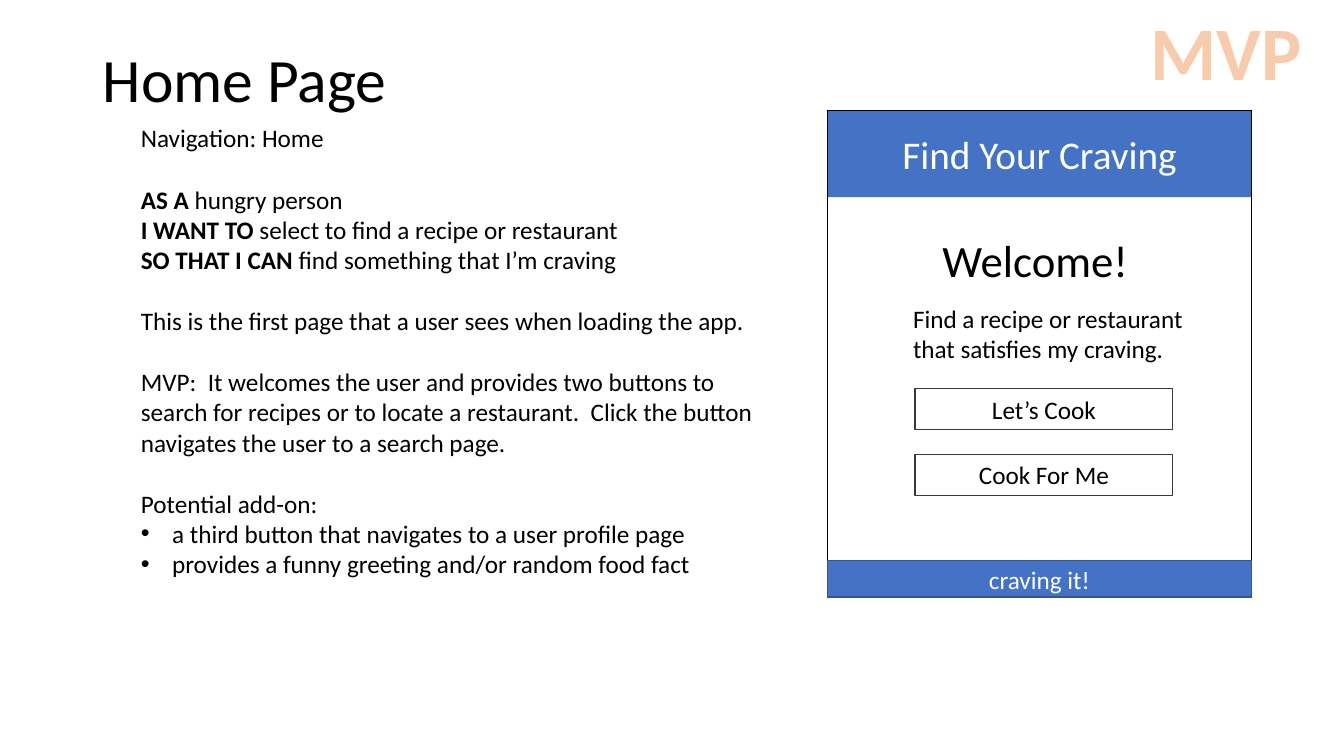
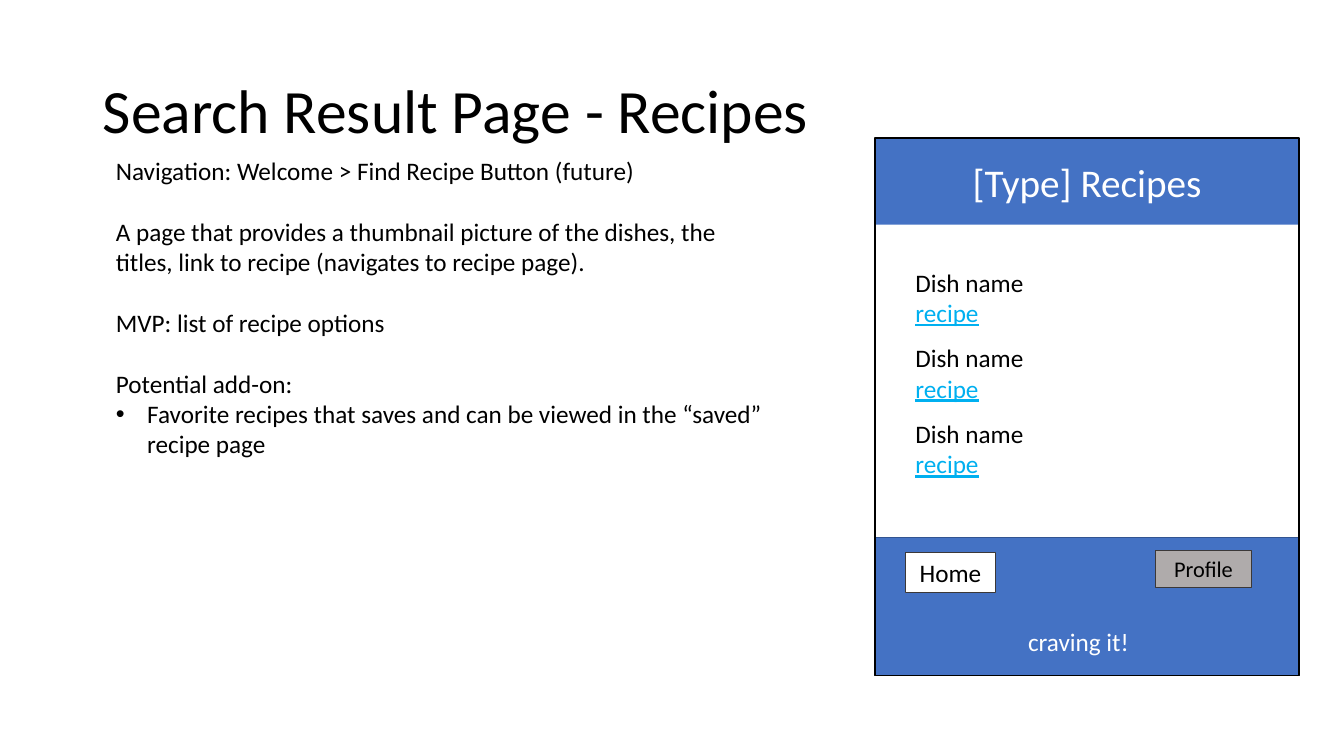
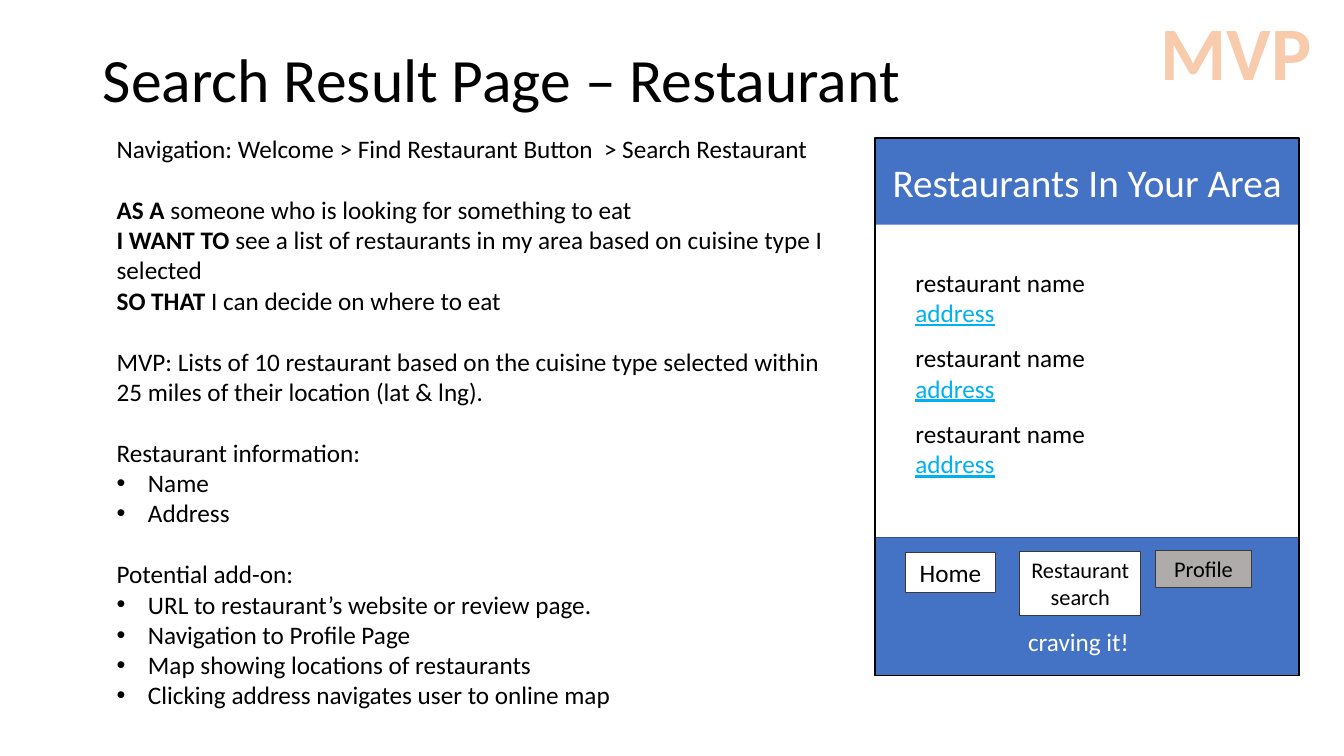
"""Build three app wireframe slides: home page, recipe results, restaurant results."""
from lxml import etree
from pptx import Presentation
from pptx.dml.color import RGBColor
from pptx.enum.shapes import MSO_SHAPE
from pptx.enum.text import MSO_ANCHOR, PP_ALIGN
from pptx.oxml.ns import qn
from pptx.util import Cm, Pt

RECT = MSO_SHAPE.RECTANGLE
TOP, MIDDLE = MSO_ANCHOR.TOP, MSO_ANCHOR.MIDDLE
LEFT, CENTER = PP_ALIGN.LEFT, PP_ALIGN.CENTER
FONT = "Calibri"
COLORS = {
    "text": "000000", "white": "FFFFFF", "blue": "4472C4", "navy": "325491",
    "border": "3B3838", "gray": "AFABAB", "link": "00B0F0",
    "peach": "F8CBAD", "orange": "ED7D31",
}
BULLET = "•"
BODY_SIZE, BODY_LINE = 18, 22
PHONE_W, HEADER_H = 10.69, 2.18
RESULT_X, RESULT_Y, RESULT_H, RESULT_FOOTER_H = 22.05, 3.48, 13.54, 3.48


def rgb(name):
    return RGBColor.from_string(COLORS[name])


def style_runs(p, size, color):
    for r in p.runs:
        r.font.name = FONT
        r.font.size = Pt(size)
        r.font.color.rgb = rgb(color)


def write(sp, lines, size=BODY_SIZE, color="text", align=LEFT, anchor=TOP):
    tf = sp.text_frame
    tf.word_wrap = True
    tf.vertical_anchor = anchor
    tf.text = "\n".join(lines)
    for p in tf.paragraphs:
        p.alignment = align
        style_runs(p, size, color)
    return tf.paragraphs


def add_text(s, x, y, w, h, lines, **style):
    sp = s.shapes.add_textbox(Cm(x), Cm(y), Cm(w), Cm(h))
    return write(sp, lines, **style)


def add_rect(s, x, y, w, h, fill=None, line=None, weight=1):
    sp = s.shapes.add_shape(RECT, Cm(x), Cm(y), Cm(w), Cm(h))
    sp.shadow.inherit = False
    if fill:
        sp.fill.solid()
        sp.fill.fore_color.rgb = rgb(fill)
    else:
        sp.fill.background()
    if line:
        sp.line.color.rgb = rgb(line)
        sp.line.width = Pt(weight)
    else:
        sp.line.fill.background()
    return sp


def add_button(s, x, y, w, h, lines, size=BODY_SIZE, fill="white"):
    sp = add_rect(s, x, y, w, h, fill, "border", 0.75)
    write(sp, lines, size, align=CENTER)


def add_title(s, text, y):
    p = add_text(s, 2.34, y, 29.21, 3.68, [text], size=44, anchor=MIDDLE)[0]
    p.line_spacing = 0.9


def add_mvp_badge(s, x):
    p = add_text(s, x, 0, 4.34, 2.57, ["MVP"], size=54, color="peach", align=CENTER)[0]
    r = p.runs[0]
    r.font.bold = True
    ln = etree.Element(qn("a:ln"), w=str(Pt(1.75)))
    fill = etree.SubElement(ln, qn("a:solidFill"))
    etree.SubElement(fill, qn("a:srgbClr"), val=COLORS["orange"])
    r.font._element.insert(0, ln)


def set_bullet(p):
    pPr = p._p.get_or_add_pPr()
    pPr.set("marL", str(Cm(0.79)))
    pPr.set("indent", str(-Cm(0.79)))
    etree.SubElement(pPr, qn("a:buFont"), typeface="Arial")
    etree.SubElement(pPr, qn("a:buChar"), char=BULLET)


def add_notes(s, x, y, w, h, groups):
    """Write groups of lines; a pair is a bold lead or a bullet, then its text."""
    tf = s.shapes.add_textbox(Cm(x), Cm(y), Cm(w), Cm(h)).text_frame
    tf.word_wrap = True
    p = tf.paragraphs[0]
    for g, group in enumerate(groups):
        for i, line in enumerate(group):
            if g or i:
                p = tf.add_paragraph()
            if g and i == 0:
                p.space_before = Pt(BODY_LINE)
            lead, text = line if isinstance(line, tuple) else ("", line)
            if lead == BULLET:
                set_bullet(p)
            elif lead:
                r = p.add_run()
                r.text = lead
                r.font.bold = True
            p.add_run().text = text
            style_runs(p, BODY_SIZE, "text")


def add_phone(s, x, y, h, heading):
    add_rect(s, x, y, PHONE_W, HEADER_H, "blue")
    add_rect(s, x, y, PHONE_W, h, line="text")
    add_text(s, x, y + 0.38, PHONE_W, 1.45, [heading], size=28, color="white", align=CENTER)


def add_results_phone(s, heading, item, link):
    add_rect(s, RESULT_X, RESULT_Y + RESULT_H - RESULT_FOOTER_H, PHONE_W,
             RESULT_FOOTER_H, "blue", "navy")
    add_phone(s, RESULT_X, RESULT_Y, RESULT_H, heading)
    for i in range(3):
        p = add_text(s, 22.82, 6.6 + 1.91 * i, 7.8, 1.8, [item, link])[1]
        p.runs[0].font.color.rgb = rgb("link")
        p.runs[0].font.underline = True
    add_button(s, 22.81, 13.92, 2.29, 1.02, ["Home"])
    add_button(s, 29.11, 13.87, 2.44, 0.94, ["Profile"], 16, "gray")
    add_text(s, 24.49, 15.67, 5.38, 1.02, ["craving it!"], color="white", align=CENTER)


def home_slide(s):
    add_title(s, "Home Page", 0.23)
    add_mvp_badge(s, 28.73)
    add_notes(s, 3.3, 2.97, 16.56, 13.34, [
        ["Navigation: Home"],
        [("AS A ", "hungry person"),
         ("I WANT TO ", "select to find a recipe or restaurant"),
         ("SO THAT I CAN ", "find something that I’m craving")],
        ["This is the first page that a user sees when loading the app."],
        ["MVP:  It welcomes the user and provides two buttons to search for recipes "
         "or to locate a restaurant.  Click the button navigates the user to a search page."],
        ["Potential add-on:",
         (BULLET, "a third button that navigates to a user profile page"),
         (BULLET, "provides a funny greeting and/or random food fact")],
    ])
    x, y, h, footer_h = 20.85, 2.79, 12.26, 0.92
    add_phone(s, x, y, h, "Find Your Craving")
    add_text(s, 23.5, 5.74, 5.54, 1.63, ["Welcome!"], size=32)
    add_text(s, 22.76, 7.52, 7.8, 1.8, ["Find a recipe or restaurant that satisfies my craving."])
    for i, label in enumerate(["Let’s Cook", "Cook For Me"]):
        add_button(s, 23.06, 9.8 + 1.66 * i, 6.5, 1.02, [label])
    footer = add_rect(s, x, y + h - footer_h, PHONE_W, footer_h, "blue", "navy")
    write(footer, ["craving it!"], color="white", align=CENTER, anchor=MIDDLE)


def recipes_slide(s):
    add_title(s, "Search Result Page - Recipes", 1.02)
    add_notes(s, 2.67, 3.78, 17.12, 11.02, [
        ["Navigation: Welcome > Find Recipe Button (future)"],
        ["A page that provides a thumbnail picture of the dishes, the titles, "
         "link to recipe (navigates to recipe page)."],
        ["MVP: list of recipe options"],
        ["Potential add-on:",
         (BULLET, "Favorite recipes that saves and can be viewed in the “saved” recipe page")],
    ])
    add_results_phone(s, "[Type] Recipes", "Dish name", "recipe")


def restaurants_slide(s):
    add_title(s, "Search Result Page – Restaurant", 0.23)
    add_mvp_badge(s, 28.98)
    add_notes(s, 2.69, 3.23, 18.29, 14.88, [
        ["Navigation: Welcome > Find Restaurant Button  > Search Restaurant"],
        [("AS A ", "someone who is looking for something to eat"),
         ("I WANT TO ", "see a list of restaurants in my area based on cuisine type I selected"),
         ("SO THAT ", "I can decide on where to eat")],
        ["MVP: Lists of 10 restaurant based on the cuisine type selected within "
         "25 miles of their location (lat & lng)."],
        ["Restaurant information:", (BULLET, "Name"), (BULLET, "Address")],
        ["Potential add-on:",
         (BULLET, "URL to restaurant’s website or review page."),
         (BULLET, "Navigation to Profile Page"),
         (BULLET, "Map showing locations of restaurants"),
         (BULLET, "Clicking address navigates user to online map")],
    ])
    add_results_phone(s, "Restaurants In Your Area", "restaurant name", "address")
    add_button(s, 25.7, 13.89, 3.05, 1.63, ["Restaurant", "search"], 16)


def main():
    prs = Presentation()
    prs.slide_width, prs.slide_height = Cm(33.87), Cm(19.05)
    for build in (home_slide, recipes_slide, restaurants_slide):
        build(prs.slides.add_slide(prs.slide_layouts[6]))
    prs.save("out.pptx")


if __name__ == "__main__":
    main()
